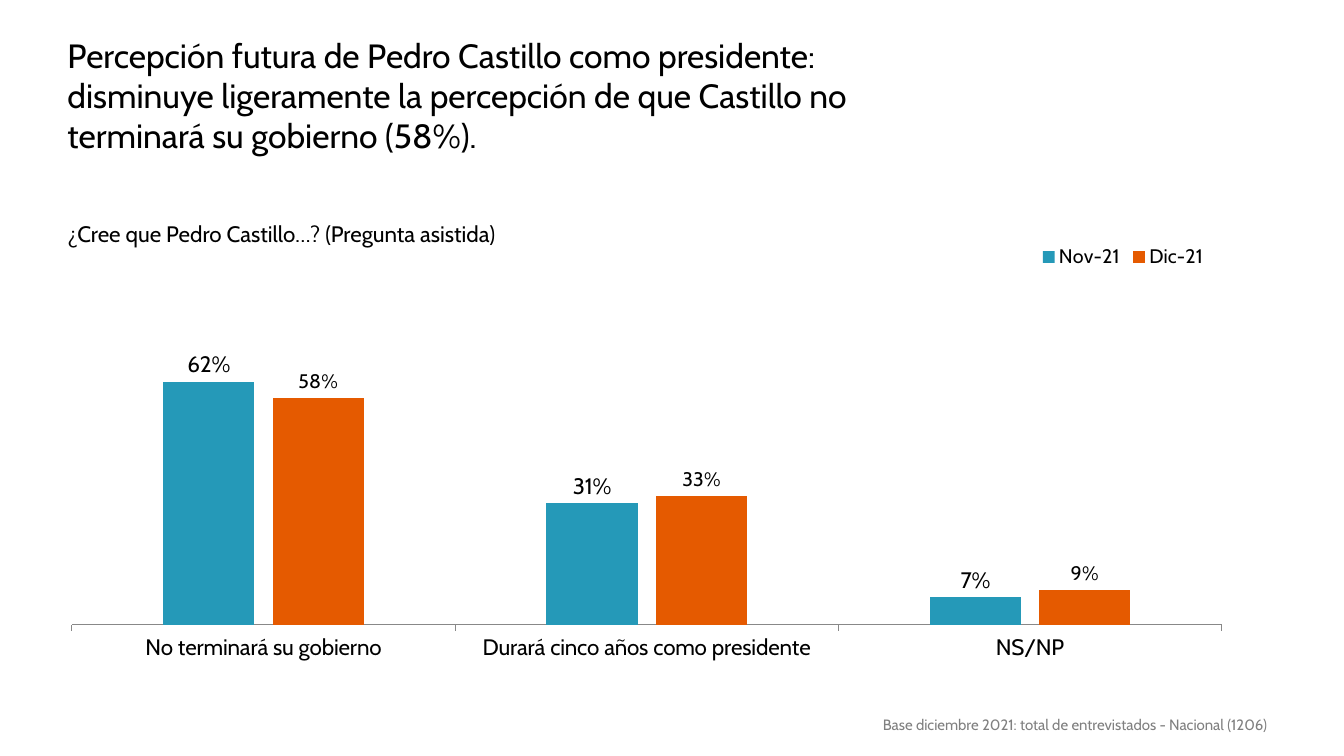
from dataclasses import dataclass

from lxml.etree import SubElement
from pptx import Presentation
from pptx.chart.data import CategoryChartData
from pptx.dml.color import RGBColor
from pptx.enum.chart import XL_CHART_TYPE, XL_LABEL_POSITION, XL_LEGEND_POSITION, XL_TICK_MARK
from pptx.enum.text import MSO_ANCHOR, MSO_AUTO_SIZE, PP_ALIGN
from pptx.oxml.ns import qn
from pptx.util import Pt


@dataclass(frozen=True)
class Theme:
    font: str = "Cabin"
    ink: str = "000000"
    muted: str = "808080"
    axis: str = "888888"
    november: str = "2599B8"
    december: str = "E55A00"
    title: float = 24
    body: float = 16
    small: float = 14
    note: float = 10.7


def set_font(font, theme, size, color=None):
    font.name = theme.font
    font.size = Pt(size)
    font.bold = False
    font.color.rgb = RGBColor.from_string(color or theme.ink)


def set_text(sp, text, theme, size, color=None, align=PP_ALIGN.LEFT, spacing=None):
    tf = sp.text_frame
    tf.word_wrap = True
    tf.auto_size = MSO_AUTO_SIZE.NONE
    tf.vertical_anchor = MSO_ANCHOR.TOP
    p = tf.paragraphs[0]
    p.alignment = align
    p.line_spacing = spacing
    r = p.add_run()
    r.text = text
    set_font(r.font, theme, size, color)


def set_layout(parent, index, target=None, **box):
    old = parent.find(qn("c:layout"))
    if old is not None:
        parent.remove(old)
    layout = parent.makeelement(qn("c:layout"))
    parent.insert(index, layout)
    manual = SubElement(layout, qn("c:manualLayout"))
    values = {"layoutTarget": target} if target else {}
    values |= {"xMode": "edge", "yMode": "edge"} | box
    for tag, value in values.items():
        SubElement(manual, qn(f"c:{tag}")).set("val", str(value))


class SlideBuilder:
    def __init__(self, prs, theme):
        self.theme = theme
        self.slide = prs.slides.add_slide(prs.slide_layouts[5])

    def title(self, text, left, top, width, height):
        sp = self.slide.shapes.title
        sp.left, sp.top, sp.width, sp.height = map(Pt, (left, top, width, height))
        set_text(sp, text, self.theme, self.theme.title)

    def text(self, text, left, top, width, height, size, **style):
        sp = self.slide.shapes.add_textbox(*map(Pt, (left, top, width, height)))
        set_text(sp, text, self.theme, size, **style)

    def columns(self, categories, series, left, top, width, height):
        theme = self.theme
        data = CategoryChartData(number_format="0%")
        data.categories = categories
        for name, values, _, _ in series:
            data.add_series(name, values)
        chart = self.slide.shapes.add_chart(
            XL_CHART_TYPE.COLUMN_CLUSTERED, *map(Pt, (left, top, width, height)), data
        ).chart
        chart.has_title = False
        set_font(chart.font, theme, theme.small)

        plot = chart.plots[0]
        plot.gap_width = 200
        plot.overlap = -20
        plot.vary_by_categories = False
        for ser, (_, _, color, size) in zip(plot.series, series):
            ser.format.fill.solid()
            ser.format.fill.fore_color.rgb = RGBColor.from_string(color)
            ser.invert_if_negative = False
            labels = ser.data_labels
            labels.show_value = True
            labels.number_format = "0%"
            labels.number_format_is_linked = False
            labels.position = XL_LABEL_POSITION.OUTSIDE_END
            set_font(labels.font, theme, size)

        value_axis = chart.value_axis
        value_axis.minimum_scale = 0
        value_axis.maximum_scale = 1
        value_axis.has_major_gridlines = False
        value_axis.visible = False

        category_axis = chart.category_axis
        category_axis.major_tick_mark = XL_TICK_MARK.OUTSIDE
        category_axis.format.line.color.rgb = RGBColor.from_string(theme.axis)
        category_axis.format.line.width = Pt(0.75)
        set_font(category_axis.tick_labels.font, theme, theme.body)

        chart.has_legend = True
        chart.legend.position = XL_LEGEND_POSITION.TOP
        chart.legend.include_in_layout = False
        set_font(chart.legend.font, theme, theme.small)

        chart_xml = chart.element.find(qn("c:chart"))
        set_layout(chart_xml.find(qn("c:plotArea")), 0, "inner", x=0, y=0, w=0.99, h=0.9)
        set_layout(chart_xml.find(qn("c:legend")), 1, x=0.83, y=0.02, w=0.15, h=0.07)


def main():
    prs = Presentation()
    prs.slide_width, prs.slide_height = Pt(960), Pt(540)
    theme = Theme()
    s = SlideBuilder(prs, theme)
    s.text(
        "Base diciembre 2021: total de entrevistados - Nacional (1206)",
        623.5, 509, 302.5, 18.7, theme.note,
        color=theme.muted, align=PP_ALIGN.JUSTIFY, spacing=0.9,
    )
    s.title(
        "Percepción futura de Pedro Castillo como presidente: disminuye ligeramente "
        "la percepción de que Castillo no terminará su gobierno (58%).",
        41, 21, 602, 89,
    )
    s.text("¿Cree que Pedro Castillo…? (Pregunta asistida)", 41, 153.5, 333.5, 26.6, theme.body)
    s.columns(
        ["No terminará su gobierno", "Durará cinco años como presidente", "NS/NP"],
        [
            ("Nov-21", (0.62, 0.31, 0.07), theme.november, theme.body),
            ("Dic-21", (0.58, 0.33, 0.09), theme.december, theme.small),
        ],
        51, 166.5, 830, 311,
    )
    prs.save("out.pptx")


if __name__ == "__main__":
    main()
